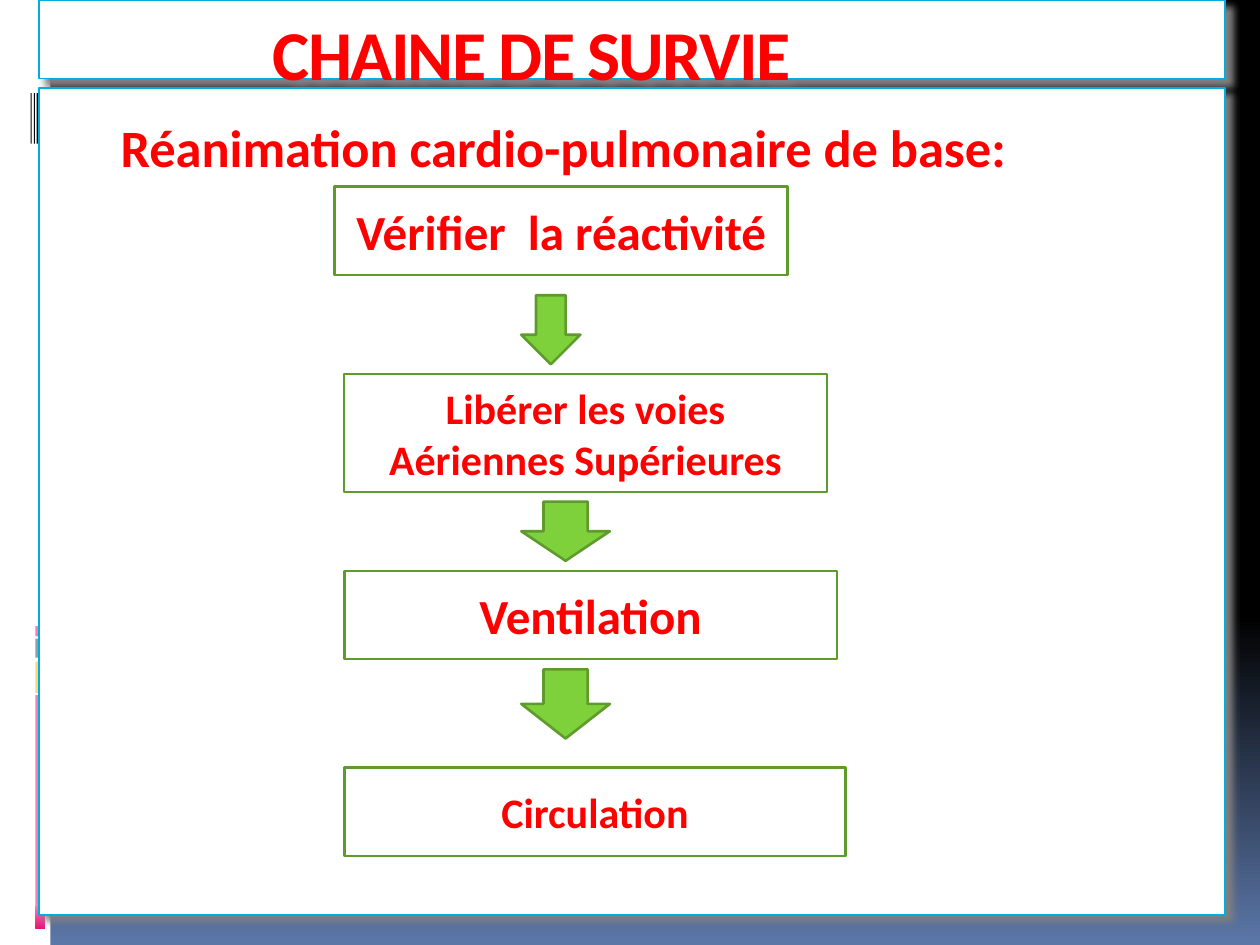
import lxml.etree
import pptx
import pptx.dml.color
import pptx.enum.shapes
import pptx.enum.text
import pptx.oxml
import pptx.oxml.ns
import pptx.util

Pt = pptx.util.Pt
RGBColor = pptx.dml.color.RGBColor
SHAPE = pptx.enum.shapes.MSO_SHAPE
ALIGN = pptx.enum.text.PP_ALIGN
ANCHOR = pptx.enum.text.MSO_ANCHOR

BLACK = RGBColor(0x00, 0x00, 0x00)
WHITE = RGBColor(0xFF, 0xFF, 0xFF)
RED = RGBColor(0xFF, 0x00, 0x00)
NIGHT_BLUE = RGBColor(0x5B, 0x77, 0xA8)
CYAN = RGBColor(0x00, 0xAD, 0xDC)
GREEN = RGBColor(0x7F, 0xD1, 0x3B)
DARK_GREEN = RGBColor(0x5E, 0x9B, 0x2C)
PINK = RGBColor(0xEA, 0x15, 0x7A)
PALE_PINK = RGBColor(0xF4, 0x80, 0xB8)
PALE_YELLOW = RGBColor(0xFE, 0xD7, 0x7A)
PALE_SLATE = RGBColor(0x95, 0x9D, 0xA9)

PANEL_SHADOW = (
    '<a:effectLst xmlns:a="http://schemas.openxmlformats.org/drawingml/2006/main">'
    '<a:outerShdw blurRad="50800" dist="63500" dir="2700000" algn="tl" rotWithShape="0">'
    '<a:srgbClr val="808080"/></a:outerShdw></a:effectLst>'
)


def add_shape(slide, kind, box, fill, line=None, weight=1.5):
    """Add a flat preset shape in box, outlined when a line colour is given."""
    s = slide.shapes.add_shape(kind, *(Pt(v) for v in box))
    s.shadow.inherit = False
    s.fill.solid()
    s.fill.fore_color.rgb = fill
    if line is None:
        s.line.fill.background()
    else:
        s.line.color.rgb = line
        s.line.width = Pt(weight)
    return s


def write(s, text, size, align, anchor, left=9, top=3.6):
    """Write one bold red paragraph into a shape."""
    tf = s.text_frame
    tf.word_wrap = True
    tf.vertical_anchor = anchor
    tf.margin_left, tf.margin_top = Pt(left), Pt(top)
    tf.margin_right, tf.margin_bottom = Pt(9), Pt(3.6)
    p = tf.paragraphs[0]
    p.text = text
    p.alignment = align
    r = p.runs[0]
    r.font.name = "Calibri"
    r.font.size = Pt(size)
    r.font.bold = True
    r.font.color.rgb = RED
    return r


def paint_background(slide):
    """Fade the background from black to blue at the bottom."""
    fill = slide.background.fill
    fill.gradient()
    fill.gradient_angle = 270
    for stop, (position, color) in zip(fill.gradient_stops, ((0.65, BLACK), (1, NIGHT_BLUE))):
        stop.position = position
        stop.color.rgb = color


def add_side_band(slide, box):
    """Draw the white band with its coloured bars and thin black stripes."""
    x, y, w, h = box
    add_shape(slide, SHAPE.RECTANGLE, box, WHITE)
    bars = (
        (397.4, 133.2, PALE_PINK),
        (378, 18, PALE_YELLOW),
        (365, 10.8, PALE_SLATE),
        (357.8, 5.8, PALE_PINK),
    )
    for top, height, color in bars:
        s = add_shape(slide, SHAPE.RECTANGLE, (x + 20.2, y + top, 5.8, height), color)
        if height > 100:
            s.fill.gradient()
            s.fill.gradient_angle = 270
            for stop, (position, shade) in zip(s.fill.gradient_stops, ((0.9, color), (1, PINK))):
                stop.position = position
                stop.color.rgb = shade
    for left, width in ((20.9, 2), (19.3, 0.6), (17.5, 0.6)):
        add_shape(slide, SHAPE.RECTANGLE, (x + left, y + 53.3, width, 28.8), BLACK)


def add_panel(slide, box, text, size, left, top):
    """Add a white shadowed panel with its heading."""
    s = add_shape(slide, SHAPE.RECTANGLE, box, WHITE, CYAN, 0.94)
    properties = s._element.spPr
    properties.remove(properties.find(pptx.oxml.ns.qn("a:effectLst")))
    properties.append(pptx.oxml.parse_xml(PANEL_SHADOW))
    return write(s, text, size, ALIGN.LEFT, ANCHOR.TOP, left, top)


def add_survival_chain(slide, box):
    """Stack the four steps and the arrows between them."""
    x, y, _, _ = box
    steps = (
        ("Vérifier  la réactivité", 28, 0, 0, 258.8, 50.4),
        ("Libérer les voies Aériennes Supérieures", 24, 5.4, 107, 275.8, 67.5),
        ("Ventilation", 28, 5.4, 219.6, 281.5, 50.4),
        ("Circulation", 24, 5.4, 332, 286.6, 50.4),
    )
    for text, size, left, top, width, height in steps:
        place = (x + left, y + top, width, height)
        s = add_shape(slide, SHAPE.FLOWCHART_PROCESS, place, WHITE, DARK_GREEN)
        write(s, text, size, ALIGN.CENTER, ANCHOR.MIDDLE)
    for top, width, height in ((62, 33.8, 39.5), (180, 50.6, 33.8), (275.8, 50.6, 39.5)):
        place = (x + 106.6, y + top, width, height)
        add_shape(slide, SHAPE.DOWN_ARROW, place, GREEN, DARK_GREEN)


def main():
    """Build the slide and save it."""
    prs = pptx.Presentation()
    prs.slide_width, prs.slide_height = Pt(720), Pt(540)
    slide = prs.slides.add_slide(prs.slide_layouts[6])
    paint_background(slide)
    add_side_band(slide, (0, 0, 28.8, 540))
    r = add_panel(slide, (22.4, 0, 677.8, 45), "CHAINE DE SURVIE", 40, 133.5, 6)
    r._r.get_or_add_rPr().set("spc", "-100")
    heading = "Réanimation cardio-pulmonaire de base:"
    add_panel(slide, (22.4, 50.4, 677.8, 472.5), heading, 30, 46.5, 15.4)
    add_survival_chain(slide, (191.3, 106.7, 292, 382.4))
    prs.save("out.pptx")


if __name__ == "__main__":
    main()
